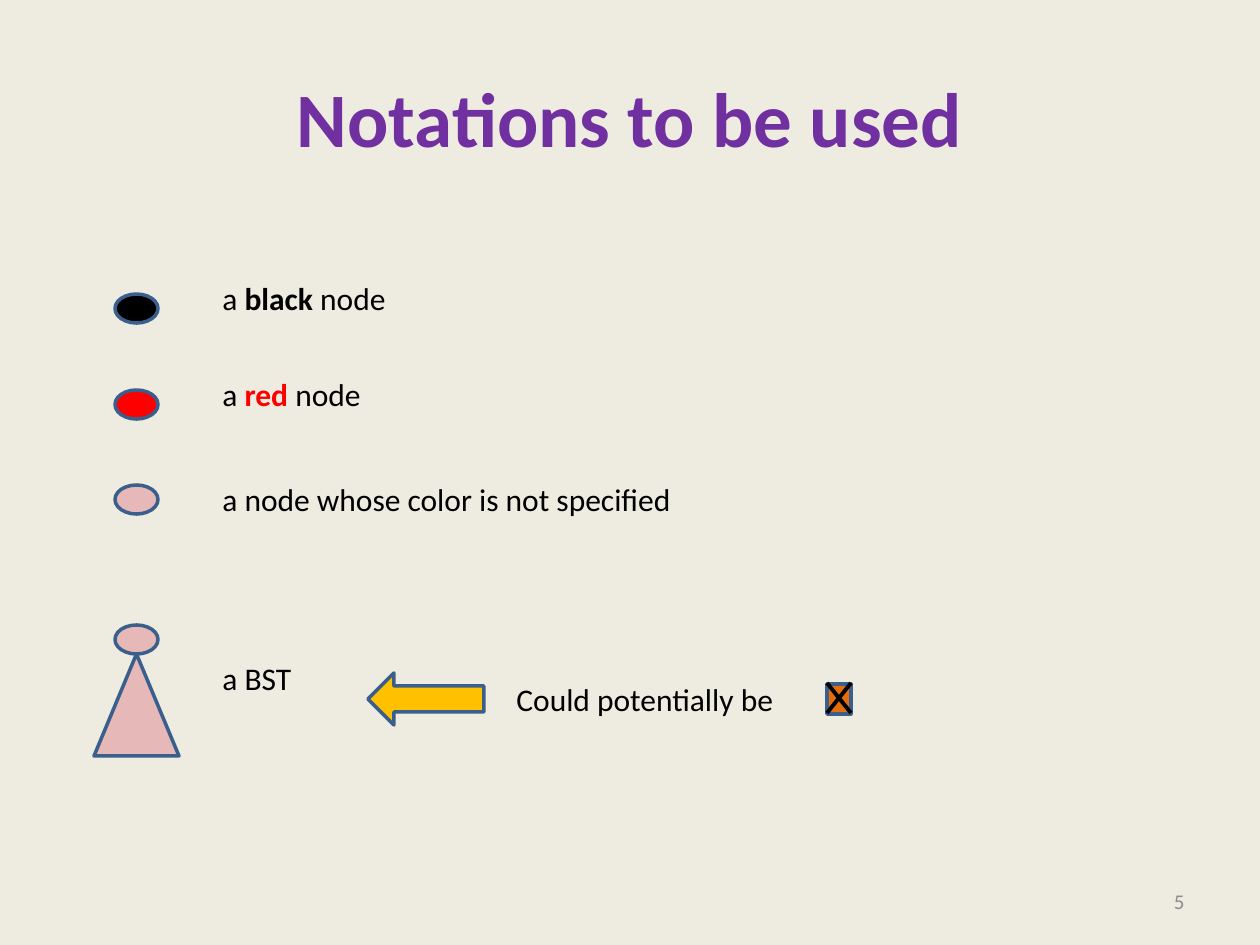
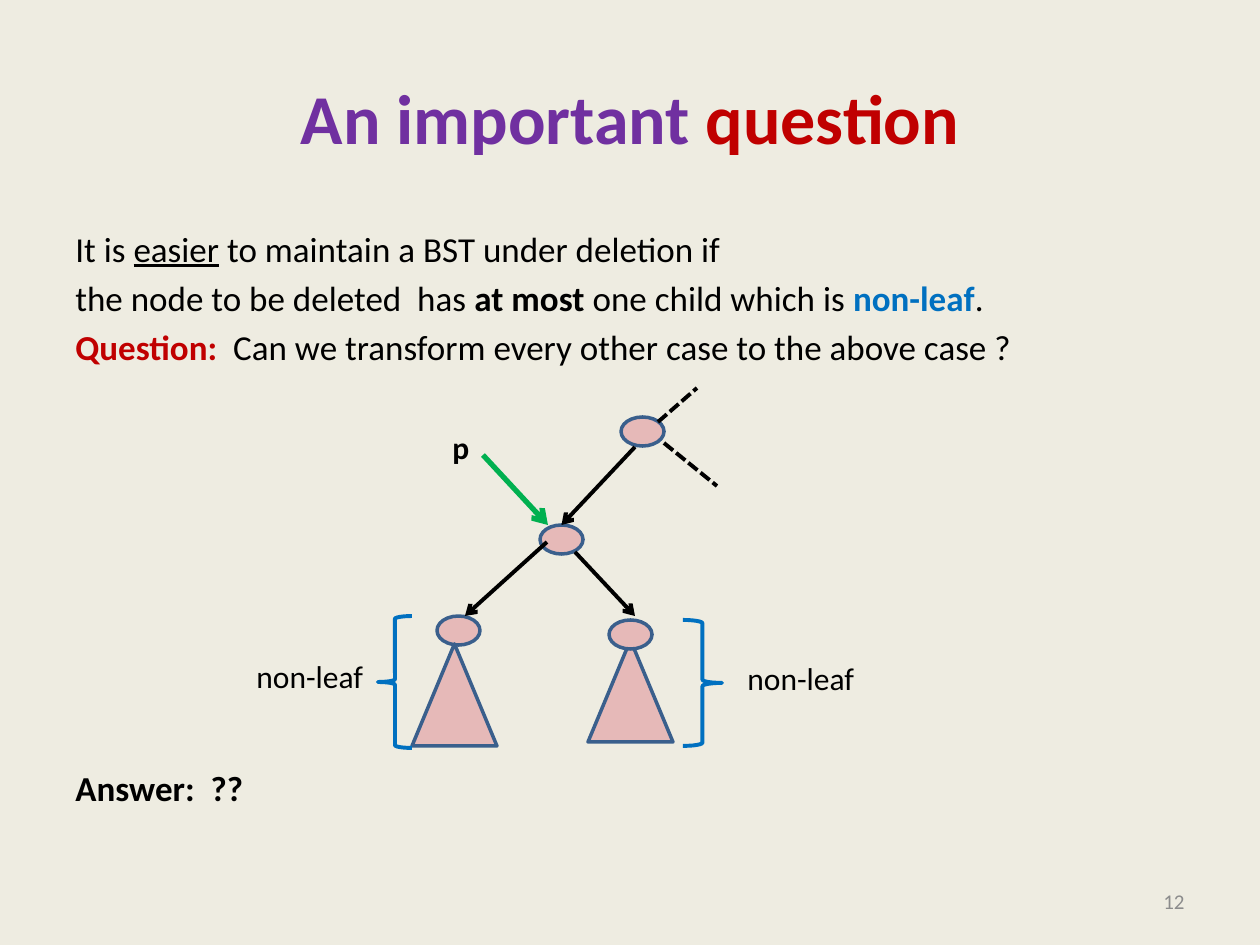
from dataclasses import dataclass

from lxml import etree
from pptx import Presentation
from pptx.dml.color import RGBColor
from pptx.enum.dml import MSO_LINE
from pptx.enum.shapes import MSO_CONNECTOR, MSO_SHAPE as SHP
from pptx.enum.text import MSO_ANCHOR as ANCHOR, PP_ALIGN as ALIGN
from pptx.oxml.ns import qn
from pptx.util import Emu, Pt

# Scale and shared look
EMU_PER_INCH, PX_PER_INCH = 914400, 126
FONT = "Calibri"
BG = RGBColor(0xEE, 0xEC, 0xE1)
BLACK = RGBColor(0x00, 0x00, 0x00)
RED = RGBColor(0xFF, 0x00, 0x00)
DARK_RED = RGBColor(0xC0, 0x00, 0x00)
PURPLE = RGBColor(0x70, 0x30, 0xA0)
BLUE = RGBColor(0x00, 0x70, 0xC0)
GREEN = RGBColor(0x00, 0xB0, 0x50)
PINK = RGBColor(0xE6, 0xB9, 0xB8)
ORANGE = RGBColor(0xE4, 0x6C, 0x0A)
GOLD = RGBColor(0xFF, 0xC0, 0x00)
OUTLINE = RGBColor(0x3A, 0x5F, 0x8C)
GRAY = RGBColor(0x8C, 0x8C, 0x8C)


@dataclass(frozen=True)
class Span:
    text: str
    color: RGBColor = BLACK
    bold: bool = False
    underline: bool = False


@dataclass(frozen=True)
class Label:
    x: int
    y: int
    w: int
    spans: tuple[Span, ...]


@dataclass(frozen=True)
class Link:
    x1: int
    y1: int
    x2: int
    y2: int
    color: RGBColor = BLACK
    width: float = 2.25
    arrow: bool = False
    dashed: bool = False


@dataclass(frozen=True)
class Figure:
    kind: SHP
    x: int
    y: int
    w: int
    h: int
    fill: RGBColor | None = PINK
    line: RGBColor = OUTLINE
    width: float = 2
    flip: bool = False


def px(n: int) -> Emu:
    return Emu(round(n * EMU_PER_INCH / PX_PER_INCH))


# Figures of the tree drawings
def node(x: int, y: int, fill: RGBColor = PINK) -> Figure:
    return Figure(SHP.OVAL, x, y, 43, 29, fill)


def subtree(x: int, y: int) -> Figure:
    return Figure(SHP.ISOSCELES_TRIANGLE, x, y, 85, 102)


def brace(x: int, y: int, w: int, h: int, flip: bool = False) -> Figure:
    return Figure(SHP.RIGHT_BRACE, x, y, w, h, None, BLUE, 2.25, flip)


# Drawing functions
def write_spans(p, spans: tuple[Span, ...], size: int) -> None:
    for span in spans:
        r = p.add_run()
        r.text = span.text
        font = r.font
        font.name, font.size = FONT, Pt(size)
        font.bold, font.underline = span.bold, span.underline
        font.color.rgb = span.color


def add_text(s, x: int, y: int, w: int, h: int, lines: list[tuple[Span, ...]],
             size: int = 18, wrap: bool = True):
    tf = s.shapes.add_textbox(px(x), px(y), px(w), px(h)).text_frame
    tf.word_wrap = wrap
    for i, spans in enumerate(lines):
        p = tf.add_paragraph() if i else tf.paragraphs[0]
        if i:
            p.space_before = Pt(size * 0.2)
        write_spans(p, spans, size)
    return tf


def add_label(s, label: Label) -> None:
    add_text(s, label.x, label.y, label.w, 50, [label.spans], wrap=False)


def add_figure(s, fig: Figure):
    sp = s.shapes.add_shape(fig.kind, px(fig.x), px(fig.y), px(fig.w), px(fig.h))
    sp.shadow.inherit = False
    if fig.fill is None:
        sp.fill.background()
    else:
        sp.fill.solid()
        sp.fill.fore_color.rgb = fig.fill
    sp.line.color.rgb = fig.line
    sp.line.width = Pt(fig.width)
    if fig.flip:
        sp._element.spPr.find(qn("a:xfrm")).set("flipH", "1")
    return sp


def add_link(s, link: Link):
    cxn = s.shapes.add_connector(MSO_CONNECTOR.STRAIGHT, px(link.x1), px(link.y1),
                                 px(link.x2), px(link.y2))
    cxn.line.color.rgb = link.color
    cxn.line.width = Pt(link.width)
    if link.dashed:
        cxn.line.dash_style = MSO_LINE.SQUARE_DOT
    if link.arrow:
        etree.SubElement(cxn.line._get_or_add_ln(), qn("a:tailEnd"), type="arrow")
    etree.SubElement(cxn._element.spPr, qn("a:effectLst"))
    return cxn


def add_slide(prs, title: tuple[Span, ...], title_size: int, number: int):
    s = prs.slides.add_slide(prs.slide_layouts[5])
    sp = s.shapes.title
    sp.left, sp.top, sp.width, sp.height = px(63), px(38), px(1134), px(158)
    sp.text_frame.vertical_anchor = ANCHOR.MIDDLE
    p = sp.text_frame.paragraphs[0]
    p.alignment = ALIGN.CENTER
    write_spans(p, title, title_size)

    tf = add_text(s, 903, 876, 294, 50, [(Span(str(number), GRAY),)], 12)
    tf.vertical_anchor = ANCHOR.MIDDLE
    tf.paragraphs[0].alignment = ALIGN.RIGHT
    return s


def build_notations(prs) -> None:
    s = add_slide(prs, (Span("Notations to be used", PURPLE, True),), 44, 5)

    # Legend symbols, then the leaf a BST may shrink to
    for fig in (
        node(115, 294, BLACK),
        node(115, 390, RED),
        node(115, 485),
        subtree(94, 654),
        node(115, 625),
        Figure(SHP.RECTANGLE, 827, 684, 24, 30, ORANGE),
        Figure(SHP.LEFT_ARROW, 368, 673, 116, 52, GOLD),
    ):
        add_figure(s, fig)
    add_link(s, Link(851, 683, 827, 713))
    add_link(s, Link(827, 683, 851, 713))

    # Meanings
    for label in (
        Label(210, 273, 189, (Span("a "), Span("black", bold=True), Span(" node"))),
        Label(210, 369, 165, (Span("a "), Span("red", RED, True), Span(" node"))),
        Label(210, 474, 480, (Span("a node whose color is not specified"),)),
        Label(210, 653, 102, (Span("a BST"),)),
        Label(504, 674, 294, (Span("Could potentially be"),)),
    ):
        add_label(s, label)


def build_question(prs) -> None:
    s = add_slide(prs, (Span("An important ", PURPLE, True),
                        Span("question", DARK_RED, True)), 40, 12)

    # Statement and answer
    add_text(s, 63, 221, 1134, 160, [
        (Span("It is "), Span("easier", underline=True),
         Span(" to maintain a BST under deletion if")),
        (Span("the node to be deleted  has "), Span("at most ", bold=True),
         Span("one child which is "), Span("non-leaf", BLUE, True), Span(".")),
        (Span("Question:  ", DARK_RED, True),
         Span("Can we transform every other case to the above case ?")),
    ], 20)
    add_text(s, 63, 760, 1134, 56, [(Span("Answer:  ??", bold=True),)], 20)

    # Tree around node p
    add_figure(s, node(621, 417))
    p_node = add_figure(s, node(540, 525))
    for fig in (
        node(437, 616),
        subtree(412, 644),
        subtree(588, 640),
        node(609, 620),
        brace(683, 620, 39, 126),
        brace(378, 616, 34, 132, flip=True),
    ):
        add_figure(s, fig)

    # Edges and the pointer to p
    add_link(s, Link(635, 447, 561, 525, arrow=True)).end_connect(p_node, 0)
    for link in (
        Link(547, 542, 465, 616, arrow=True),
        Link(575, 552, 635, 616, arrow=True),
        Link(658, 422, 697, 388, dashed=True),
        Link(664, 443, 717, 486, dashed=True),
        Link(483, 455, 548, 525, GREEN, 3, arrow=True),
    ):
        add_link(s, link)

    for label in (
        Label(440, 422, 43, (Span("p", bold=True),)),
        Label(735, 653, 134, (Span("non-leaf"),)),
        Label(244, 651, 134, (Span("non-leaf"),)),
    ):
        add_label(s, label)


def main() -> None:
    prs = Presentation()
    prs.slide_width, prs.slide_height = px(1260), px(945)
    fill = prs.slide_master.background.fill
    fill.solid()
    fill.fore_color.rgb = BG
    build_notations(prs)
    build_question(prs)
    prs.save("out.pptx")


if __name__ == "__main__":
    main()
